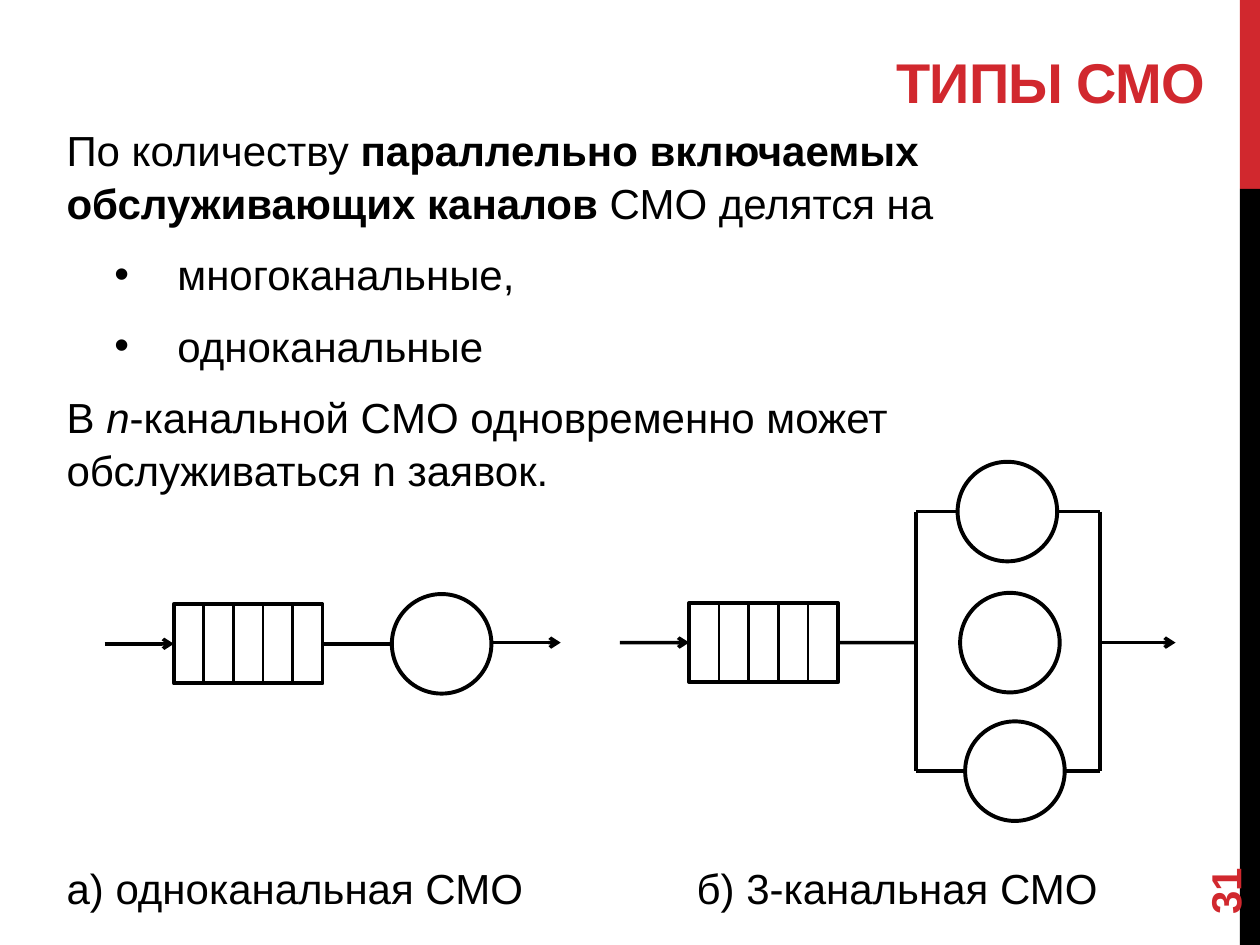
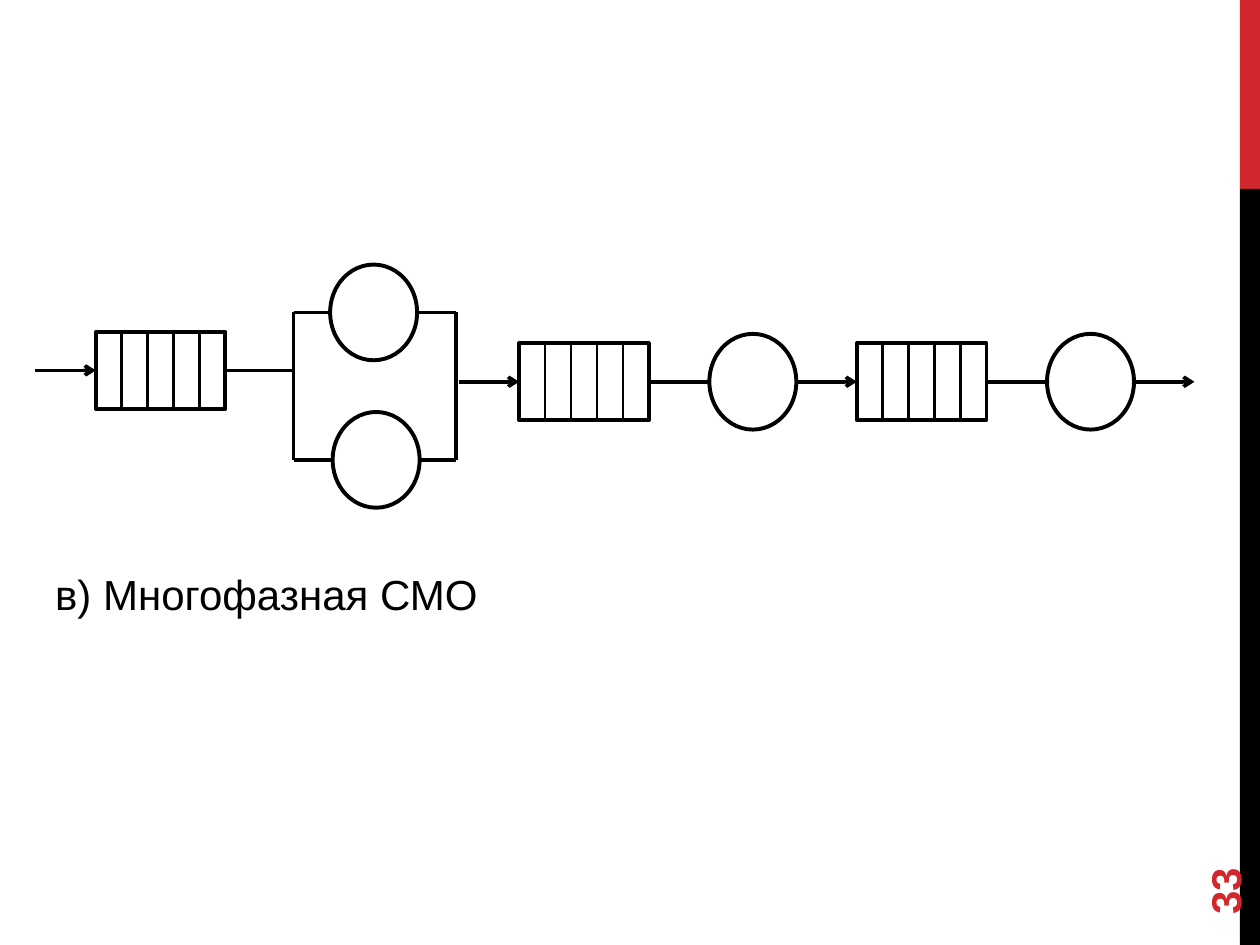
from collections import namedtuple
from dataclasses import dataclass

from lxml.etree import SubElement
from pptx import Presentation
from pptx.dml.color import RGBColor
from pptx.enum.shapes import MSO_CONNECTOR, MSO_SHAPE
from pptx.enum.text import MSO_ANCHOR, PP_ALIGN
from pptx.oxml.ns import qn
from pptx.util import Inches, Pt


@dataclass(frozen=True)
class Theme:
    font: str = "Arial"
    accent: RGBColor = RGBColor(0xD1, 0x28, 0x2E)
    ink: RGBColor = RGBColor(0, 0, 0)
    title_size: float = 32
    body_size: float = 24
    title_spacing: float = -0.6
    outline: float = 2.25
    link: float = 2
    divider: float = 1.5


# Sizes of the diagram parts on one slide, in inches
Scale = namedtuple("Scale", "queue_w queue_h channel_w channel_h inlet")

TOP, LEFT, BOTTOM, RIGHT = range(4)
QUEUE_CELLS = 5


def write(p, text, *, font, size, color, bold=False, italic=False, spacing=None):
    """Add a formatted run to a paragraph."""
    r = p.add_run()
    r.text = text
    f = r.font
    f.name, f.size, f.bold, f.italic = font, Pt(size), bold, italic
    f.color.rgb = color
    if spacing is not None:
        r._r.get_or_add_rPr().set("spc", str(round(spacing * 100)))
    return r


class Deck:
    def __init__(self, theme):
        self.theme = theme
        self.prs = Presentation()
        self.prs.slide_width, self.prs.slide_height = Inches(10), Inches(7.5)
        self.slide = self.scale = None

    def new_slide(self, number, scale):
        self.slide = self.prs.slides.add_slide(self.prs.slide_layouts[6])
        self.scale = scale
        self.band(0, 1.5, self.theme.accent)
        self.band(1.5, 6, self.theme.ink)
        self.page_number(number)

    # Text
    def text_box(self, left, top, width, height, anchor=MSO_ANCHOR.TOP):
        sp = self.slide.shapes.add_textbox(*map(Inches, (left, top, width, height)))
        tf = sp.text_frame
        tf.word_wrap = True
        tf.vertical_anchor = anchor
        return sp

    def run(self, p, text, **fmt):
        base = dict(font=self.theme.font, size=self.theme.body_size, color=self.theme.ink)
        return write(p, text, **{**base, **fmt})

    def title(self, text):
        sp = self.text_box(0.91, 0.13, 8.75, 0.83, MSO_ANCHOR.BOTTOM)
        p = sp.text_frame.paragraphs[0]
        p.alignment = PP_ALIGN.RIGHT
        self.run(p, text, size=self.theme.title_size, color=self.theme.accent,
                 bold=True, spacing=self.theme.title_spacing)

    def page_number(self, number):
        sp = self.text_box(9, 6.44, 1.44, 0.4, MSO_ANCHOR.MIDDLE)
        sp.rotation = 270
        self.run(sp.text_frame.paragraphs[0], str(number),
                 color=self.theme.accent, bold=True)

    def paragraph(self, tf, *runs, bullet=False, before=4.5, tab=None):
        """Each run is a string or a (string, format) pair."""
        first = tf.paragraphs[0]
        p = tf.add_paragraph() if first.runs else first
        p.line_spacing, p.space_before, p.space_after = 1.05, Pt(before), Pt(6)
        pPr = p._p.get_or_add_pPr()
        if bullet:
            pPr.set("marL", str(Inches(0.88)))
            pPr.set("indent", str(Inches(-0.5)))
            SubElement(pPr, qn("a:buFont"), typeface=self.theme.font)
            SubElement(pPr, qn("a:buChar"), char="•")
        if tab:
            tabs = SubElement(pPr, qn("a:tabLst"))
            SubElement(tabs, qn("a:tab"), pos=str(Inches(tab)), algn="l")
        for item in runs:
            text, fmt = (item, {}) if isinstance(item, str) else item
            self.run(p, text, **fmt)

    # Basic shapes
    def shape(self, kind, left, top, width, height, fill=None):
        sp = self.slide.shapes.add_shape(kind, *map(Inches, (left, top, width, height)))
        sp.shadow.inherit = False
        if fill is not None:
            sp.fill.solid()
            sp.fill.fore_color.rgb = fill
            sp.line.fill.background()
        else:
            sp.fill.background()
            sp.line.color.rgb = self.theme.ink
            sp.line.width = Pt(self.theme.outline)
        return sp

    def band(self, top, height, color):
        self.shape(MSO_SHAPE.RECTANGLE, 9.84, top, 0.16, height, color)

    def link(self, x1, y1, x2, y2, width=None, arrow=False, start=None, end=None):
        """Straight line; start and end are rectangles to join at the sides."""
        cxn = self.slide.shapes.add_connector(
            MSO_CONNECTOR.STRAIGHT, *map(Inches, (x1, y1, x2, y2)))
        cxn.line.color.rgb = self.theme.ink
        cxn.line.width = Pt(width or self.theme.link)
        if arrow:
            SubElement(cxn.line._get_or_add_ln(), qn("a:tailEnd"), type="arrow")
        SubElement(cxn._element.spPr, qn("a:effectLst"))
        if start is not None:
            cxn.begin_connect(start, RIGHT)
        if end is not None:
            cxn.end_connect(end, LEFT)

    # Parts of a queueing system
    def queue(self, left, mid):
        w, h = self.scale.queue_w, self.scale.queue_h
        top = mid - h / 2
        sp = self.shape(MSO_SHAPE.RECTANGLE, left, top, w, h)
        for i in range(1, QUEUE_CELLS):
            x = left + w * i / QUEUE_CELLS
            self.link(x, top, x, top + h, self.theme.divider)
        return sp

    def channel(self, left, mid):
        w, h = self.scale.channel_w, self.scale.channel_h
        self.shape(MSO_SHAPE.OVAL, left, mid - h / 2, w, h)

    def phase(self, left, mid, outlet_end):
        """Incoming arrow, queue and the line that leaves it."""
        sp = self.queue(left, mid)
        self.link(left - self.scale.inlet, mid, left, mid, arrow=True, end=sp)
        self.link(left + self.scale.queue_w, mid, outlet_end, mid, start=sp)

    def parallel(self, left_bus, right_bus, channels):
        """Channels between two buses; the outer ones are wired to both."""
        for left, mid in channels:
            self.channel(left, mid)
        for left, mid in (channels[0], channels[-1]):
            self.link(left_bus, mid, left, mid)
            self.link(left + self.scale.channel_w, mid, right_bus, mid)
        for x in (left_bus, right_bus):
            self.link(x, channels[0][1], x, channels[-1][1])

    def exit(self, x, mid, length):
        self.link(x, mid, x + length, mid, arrow=True)


def types_slide(deck):
    deck.new_slide(31, Scale(1.18, 0.63, 0.79, 0.79, 0.55))
    deck.title("ТИПЫ СМО")

    tf = deck.text_box(0.43, 0.92, 8.99, 6.46).text_frame
    deck.paragraph(tf, "По количеству ",
                   ("параллельно включаемых обслуживающих каналов", {"bold": True}),
                   " СМО делятся на")
    for kind in ("многоканальные,", "одноканальные"):
        deck.paragraph(tf, kind, bullet=True)
    deck.paragraph(tf, "В ", ("n", {"italic": True}),
                   "-канальной CМО одновременно может обслуживаться n заявок.")
    deck.paragraph(tf, "а) одноканальная СМО\tб) 3-канальная СМО", before=203, tab=5)

    # Single channel
    deck.phase(1.38, 5.11, 3.11)
    deck.channel(3.11, 5.11)
    deck.exit(3.9, 5.1, 0.55)

    # Three channels
    deck.phase(5.47, 5.1, 7.27)
    deck.parallel(7.27, 8.73, [(7.6, 4.06), (7.62, 5.1), (7.66, 6.12)])
    deck.exit(8.74, 5.1, 0.59)


def multiphase_slide(deck):
    deck.new_slide(33, Scale(1.03, 0.61, 0.69, 0.76, 0.48))

    tf = deck.text_box(0.34, 1.69, 8.33, 4.78).text_frame
    tf.margin_top = Inches(2.8)
    deck.paragraph(tf, "в) Многофазная СМО")

    # First phase: two channels
    deck.phase(0.76, 2.94, 2.33)
    deck.parallel(2.33, 3.62, [(2.62, 2.48), (2.64, 3.65)])

    # Next phases: one channel each
    for queue_left, channel_left in ((4.12, 5.63), (6.8, 8.31)):
        deck.phase(queue_left, 3.03, channel_left)
        deck.channel(channel_left, 3.03)
    deck.exit(9, 3.03, 0.48)


def main():
    deck = Deck(Theme())
    types_slide(deck)
    multiphase_slide(deck)
    deck.prs.save("out.pptx")


if __name__ == "__main__":
    main()
